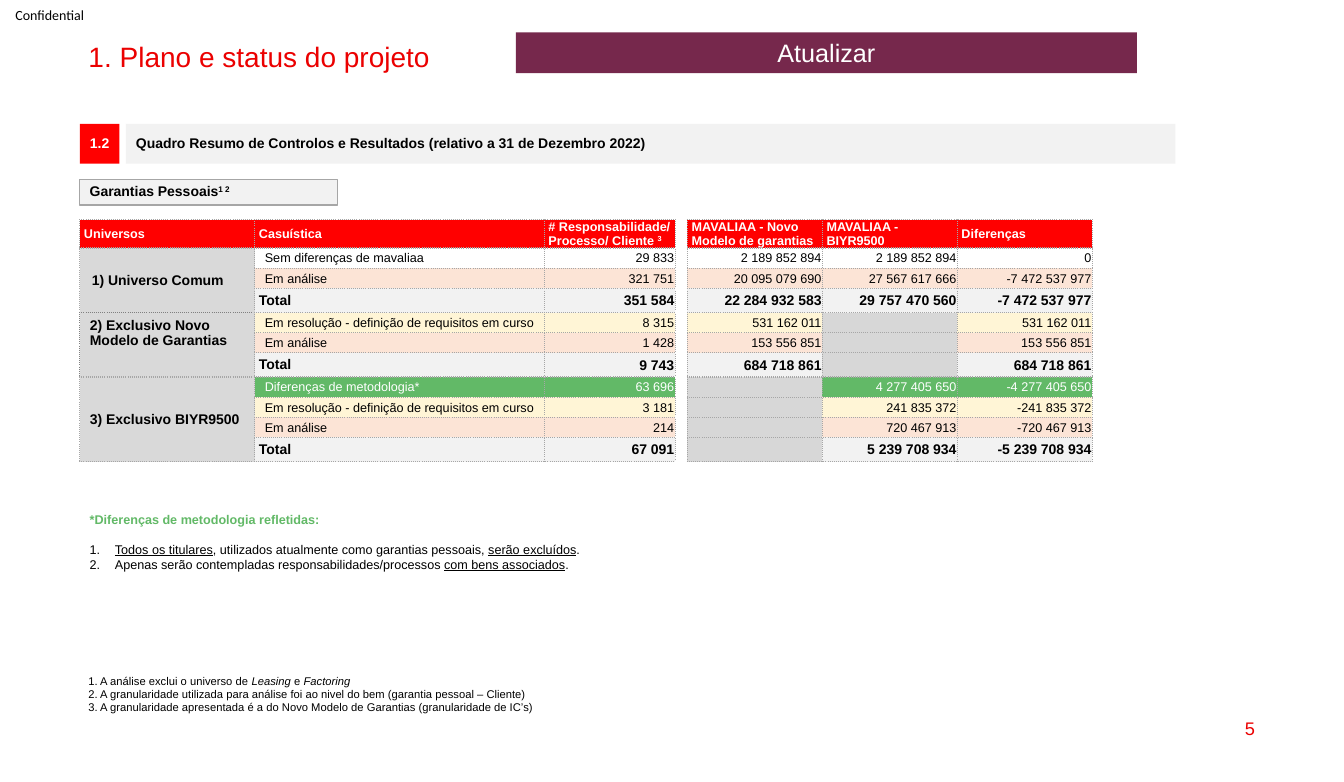
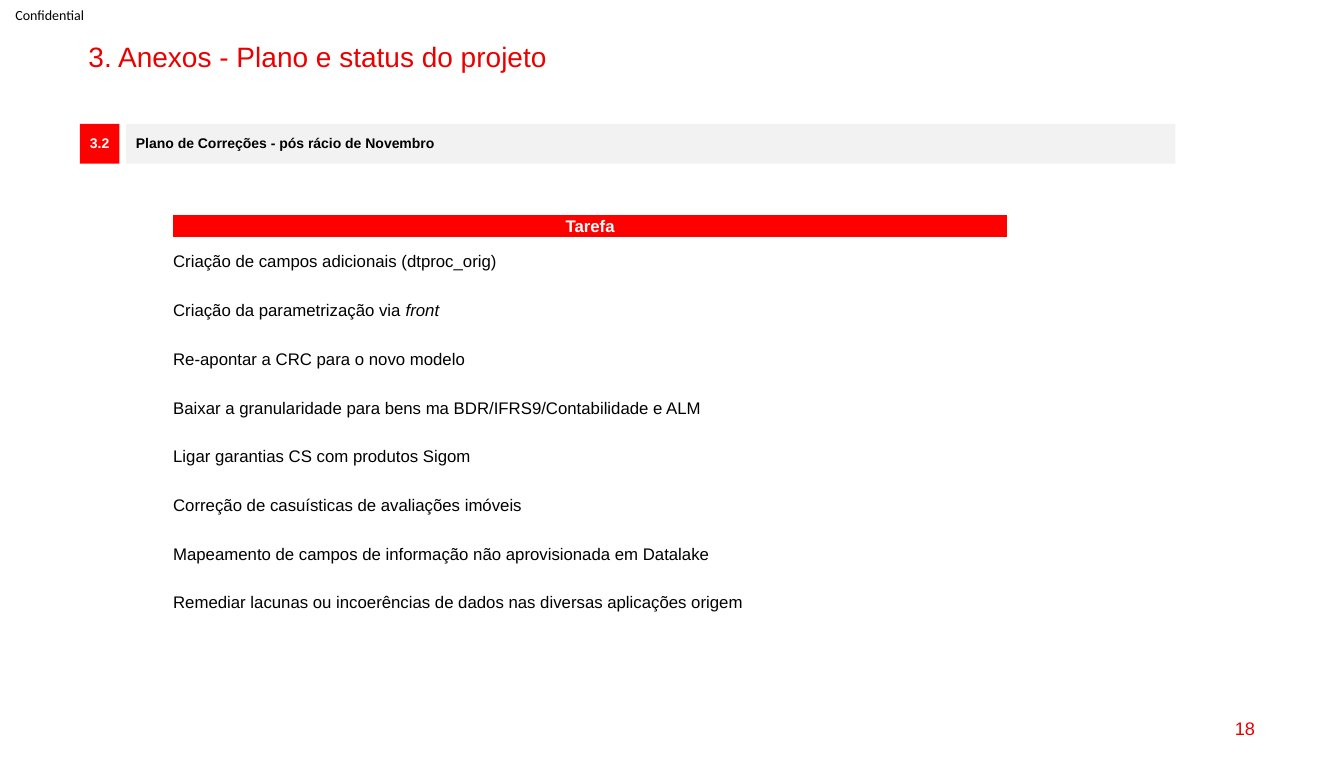
from lxml import etree
from pptx import Presentation, util as u
from pptx.dml.color import RGBColor
from pptx.enum import shapes, text
from pptx.oxml.ns import qn

Pt = u.Pt
LEFT, CENTER, RIGHT = text.PP_ALIGN.LEFT, text.PP_ALIGN.CENTER, text.PP_ALIGN.RIGHT
TOP, MIDDLE = text.MSO_ANCHOR.TOP, text.MSO_ANCHOR.MIDDLE

RED, TITLE_RED, PLUM, GREEN = "FF0000", "EB0000", "76284C", "62B967"
BLACK, WHITE, PALE, GREY, BLOCKED = "000000", "FFFFFF", "F2F2F2", "D9D9D9", "D7D7D7"
PEACH, CREAM, BORDER, DARK_BORDER = "FCE4D6", "FFF5D6", "A6A6A6", "808080"

# Insets: left, top, right, bottom
BOX = (7.2, 3.6, 7.2, 3.6)
NONE = (0, 0, 0, 0)
HEAD = (3, 0, 3, 0)
TIGHT = (0.7, 0.7, 0.7, 0)
INDENTED = (7.2, 0.7, 0.7, 0)


def color(value):
    return RGBColor.from_string(value)


def write(frame, paragraphs, size=10, ink=BLACK, bold=False, align=LEFT,
          font="Arial", spacing=None):
    """Fill a frame; a paragraph is a string or a list of strings and (text, mark)."""
    for number, content in enumerate(paragraphs):
        paragraph = frame.paragraphs[0] if number == 0 else frame.add_paragraph()
        paragraph.alignment = align
        if spacing:
            paragraph.line_spacing = spacing
        for piece in [content] if isinstance(content, str) else content:
            words, mark = (piece, "") if isinstance(piece, str) else piece
            run = paragraph.add_run()
            run.text = words
            run.font.name, run.font.size, run.font.bold = font, Pt(size), bold
            run.font.color.rgb = color(ink)
            if mark == "italic":
                run.font.italic = True
            elif mark == "underline":
                run.font.underline = True
            elif mark == "super":
                run.font._element.set("baseline", "30000")


def number_list(paragraphs, indent):
    for paragraph in paragraphs:
        properties = paragraph._p.get_or_add_pPr()
        properties.set("marL", str(Pt(indent)))
        properties.set("indent", str(-Pt(indent)))
        etree.SubElement(properties, qn("a:buAutoNum"), type="arabicPeriod")


def draw_borders(cell, sides, ink):
    properties = cell._tc.get_or_add_tcPr()
    for side in sides:
        line = etree.SubElement(properties, qn("a:ln" + side), w=str(Pt(1)))
        fill = etree.SubElement(line, qn("a:solidFill"))
        etree.SubElement(fill, qn("a:srgbClr"), val=ink)
        etree.SubElement(line, qn("a:prstDash"), val="sysDot")


class Deck:
    def __init__(self):
        self.presentation = Presentation()
        self.presentation.slide_width = Pt(960)
        self.presentation.slide_height = Pt(558.72)
        self.slide = None

    def set_frame(self, frame, insets=BOX, anchor=MIDDLE):
        frame.word_wrap = True
        frame.auto_size = text.MSO_AUTO_SIZE.NONE
        frame.vertical_anchor = anchor
        (frame.margin_left, frame.margin_top,
         frame.margin_right, frame.margin_bottom) = map(Pt, insets)

    def text_box(self, place, paragraphs, insets=BOX, anchor=MIDDLE, **style):
        shape = self.slide.shapes.add_textbox(*map(Pt, place))
        self.set_frame(shape.text_frame, insets, anchor)
        write(shape.text_frame, paragraphs, **style)
        return shape.text_frame

    def band(self, place, fill, content, outline=None, **style):
        shape = self.slide.shapes.add_shape(
            shapes.MSO_SHAPE.RECTANGLE, *map(Pt, place))
        shape.shadow.inherit = False
        shape.fill.solid()
        shape.fill.fore_color.rgb = color(fill)
        if outline:
            shape.line.color.rgb = color(outline)
            shape.line.width = Pt(0.75)
        else:
            shape.line.fill.background()
        self.set_frame(shape.text_frame)
        write(shape.text_frame, [content], **style)

    def new_slide(self, title, page, section, heading):
        self.slide = self.presentation.slides.add_slide(
            self.presentation.slide_layouts[5])
        # Title
        shape = self.slide.shapes.title
        shape.left, shape.top, shape.width, shape.height = map(
            Pt, (56, 27.4, 847, 24.5))
        self.set_frame(shape.text_frame, anchor=TOP)
        write(shape.text_frame, [title], size=20, ink=TITLE_RED, spacing=0.9)
        # Classification and page number
        self.text_box((0, 0, 71, 21), ["Confidential"], font="Calibri",
                      insets=(11, 0, 0, 0))
        self.text_box((687.6, 505.4, 216, 29.5), [page], size=13,
                      ink=TITLE_RED, align=RIGHT)
        # Section heading
        self.band((57, 88.6, 28.3, 28.3), RED, section, ink=WHITE, bold=True,
                  align=CENTER, spacing=0.9)
        self.band((90, 88.6, 749.5, 28.3), PALE, heading, bold=True, spacing=0.9)

    def table(self, left, top, widths, heights):
        table = self.slide.shapes.add_table(
            len(heights), len(widths), Pt(left), Pt(top),
            Pt(sum(widths)), Pt(sum(heights))).table
        table.first_row = table.horz_banding = False
        for column, width in zip(table.columns, widths):
            column.width = Pt(width)
        for row, height in zip(table.rows, heights):
            row.height = Pt(height)
        return table

    def cell(self, cell, paragraphs=(), fill=None, insets=TIGHT, anchor=MIDDLE,
             sides="", border=BORDER, **style):
        draw_borders(cell, sides, border)
        if fill:
            cell.fill.solid()
            cell.fill.fore_color.rgb = color(fill)
        else:
            cell.fill.background()
        (cell.margin_left, cell.margin_top,
         cell.margin_right, cell.margin_bottom) = map(Pt, insets)
        cell.vertical_anchor = anchor
        if paragraphs:
            write(cell.text_frame, paragraphs, **style)
        else:
            etree.SubElement(cell.text_frame.paragraphs[0]._p,
                             qn("a:endParaRPr"), sz="900")


# Summary table: each group has its label, label format and rows
GAP = 3
HEADERS = [["Universos"], ["Casuística"],
           ["# Responsabilidade/", ["Processo/ Cliente ", ("3", "super")]], [],
           ["MAVALIAA - Novo Modelo de garantias"], ["MAVALIAA - BIYR9500"],
           ["Diferenças"]]
SAME, ANALYSIS, TOTAL = "Sem diferenças de mavaliaa", "Em análise", "Total"
SOLVING = "Em resolução - definição de requisitos em curso"
METHOD = "Diferenças de metodologia*"
ROW_FILLS = {SAME: None, ANALYSIS: PEACH, SOLVING: CREAM, METHOD: GREEN, TOTAL: PALE}
GROUPS = [
    ("1) Universo Comum", dict(insets=(8.6, 0, 3, 0)), [
        (SAME, "29 833", "2 189 852 894", "2 189 852 894", "0"),
        (ANALYSIS, "321 751", "20 095 079 690", "27 567 617 666", "-7 472 537 977"),
        (TOTAL, "351 584", "22 284 932 583", "29 757 470 560", "-7 472 537 977")]),
    ("2) Exclusivo Novo Modelo de Garantias",
     dict(insets=BOX, anchor=TOP, border=DARK_BORDER), [
         (SOLVING, "8 315", "531 162 011", "", "531 162 011"),
         (ANALYSIS, "1 428", "153 556 851", "", "153 556 851"),
         (TOTAL, "9 743", "684 718 861", "", "684 718 861")]),
    ("3) Exclusivo BIYR9500", dict(insets=BOX), [
        (METHOD, "63 696", "", "4 277 405 650", "-4 277 405 650"),
        (SOLVING, "3 181", "", "241 835 372", "-241 835 372"),
        (ANALYSIS, "214", "", "720 467 913", "-720 467 913"),
        (TOTAL, "67 091", "", "5 239 708 934", "-5 239 708 934")]),
]

TASKS = [
    "Criação de campos adicionais (dtproc_orig)",
    ["Criação da parametrização via ", ("front", "italic")],
    "Re-apontar a CRC para o novo modelo",
    "Baixar a granularidade para bens ma BDR/IFRS9/Contabilidade e ALM",
    "Ligar garantias CS com produtos Sigom",
    "Correção de casuísticas de avaliações imóveis",
    "Mapeamento de campos de informação não aprovisionada em Datalake",
    "Remediar lacunas ou incoerências de dados nas diversas aplicações origem",
]


def summary_row(deck, table, row, values):
    name = values[0]
    total = name == TOTAL
    style = dict(size=10 if total else 9, bold=total,
                 ink=WHITE if name == METHOD else BLACK)
    fill = ROW_FILLS[name]
    deck.cell(table.cell(row, 1), [name], fill, HEAD if total else INDENTED,
              sides="LRTB", **style)
    deck.cell(table.cell(row, GAP), sides="LR", insets=NONE)
    for column, value in zip((2, 4, 5, 6), values[1:]):
        deck.cell(table.cell(row, column), [value] if value else [],
                  fill if value else BLOCKED, sides="LRTB", align=RIGHT, **style)


def summary_table(deck):
    heights = [20] + [17.28 if values[0] == TOTAL else 14.4
                      for group in GROUPS for values in group[2]]
    table = deck.table(57, 157, [125, 206.8, 93.5, 8.4] + [96.4] * 3, heights)
    for column, header in enumerate(HEADERS):
        deck.cell(table.cell(0, column), header, RED if header else None, HEAD,
                  sides="LRTB" if header else "LR", size=9, ink=WHITE, bold=True)
    row = 1
    for label, style, rows in GROUPS:
        for offset, values in enumerate(rows):
            deck.cell(table.cell(row + offset, 0), [] if offset else [label],
                      GREY, sides="LRTB", bold=True, **style)
            summary_row(deck, table, row + offset, values)
        last = row + len(rows) - 1
        table.cell(row, 0).merge(table.cell(last, 0))
        row = last + 1


def summary_slide(deck):
    deck.new_slide("1. Plano e status do projeto", "5", "1.2",
                   "Quadro Resumo de Controlos e Resultados "
                   "(relativo a 31 de Dezembro 2022)")
    deck.band((57, 128.5, 184.3, 18), PALE, ["Garantias Pessoais", ("1 2", "super")],
              outline=BORDER, bold=True, spacing=0.9)
    summary_table(deck)
    # Footnotes
    deck.text_box((56, 478, 342, 36), [
        ["1. A análise exclui o universo de ", ("Leasing", "italic"), " e ",
         ("Factoring", "italic")],
        "2. A granularidade utilizada para análise foi ao nivel do bem "
        "(garantia pessoal – Cliente)",
        "3. A granularidade apresentada é a do Novo Modelo de Garantias "
        "(granularidade de IC’s)"], size=8, anchor=TOP)
    # Method differences
    frame = deck.text_box((57, 362, 760, 108), [
        "*Diferenças de metodologia refletidas:",
        [("Todos os titulares", "underline"),
         ", utilizados atualmente como garantias pessoais, ",
         ("serão excluídos", "underline"), "."],
        ["Apenas serão contempladas responsabilidades/processos ",
         ("com bens associados", "underline"), "."]], size=9, anchor=TOP)
    heading, *items = frame.paragraphs
    heading.runs[0].font.bold = True
    heading.runs[0].font.color.rgb = color(GREEN)
    number_list(items, 18)
    items[0].space_before = Pt(10.5)
    # Status banner
    deck.band((368.6, 23.2, 443.5, 29), PLUM, "Atualizar", size=18, ink=WHITE,
              align=CENTER)


def tasks_slide(deck):
    deck.new_slide("3. Anexos - Plano e status do projeto", "18", "3.2",
                   "Plano de Correções - pós rácio de Novembro")
    table = deck.table(123, 153, [597], [16.5] + [34.8] * len(TASKS))
    deck.cell(table.cell(0, 0), ["Tarefa"], RED, size=12, ink=WHITE, bold=True,
              align=CENTER)
    for row, task in enumerate(TASKS, 1):
        deck.cell(table.cell(row, 0), [task], size=12)


def main():
    deck = Deck()
    summary_slide(deck)
    tasks_slide(deck)
    deck.presentation.save("out.pptx")


if __name__ == "__main__":
    main()
